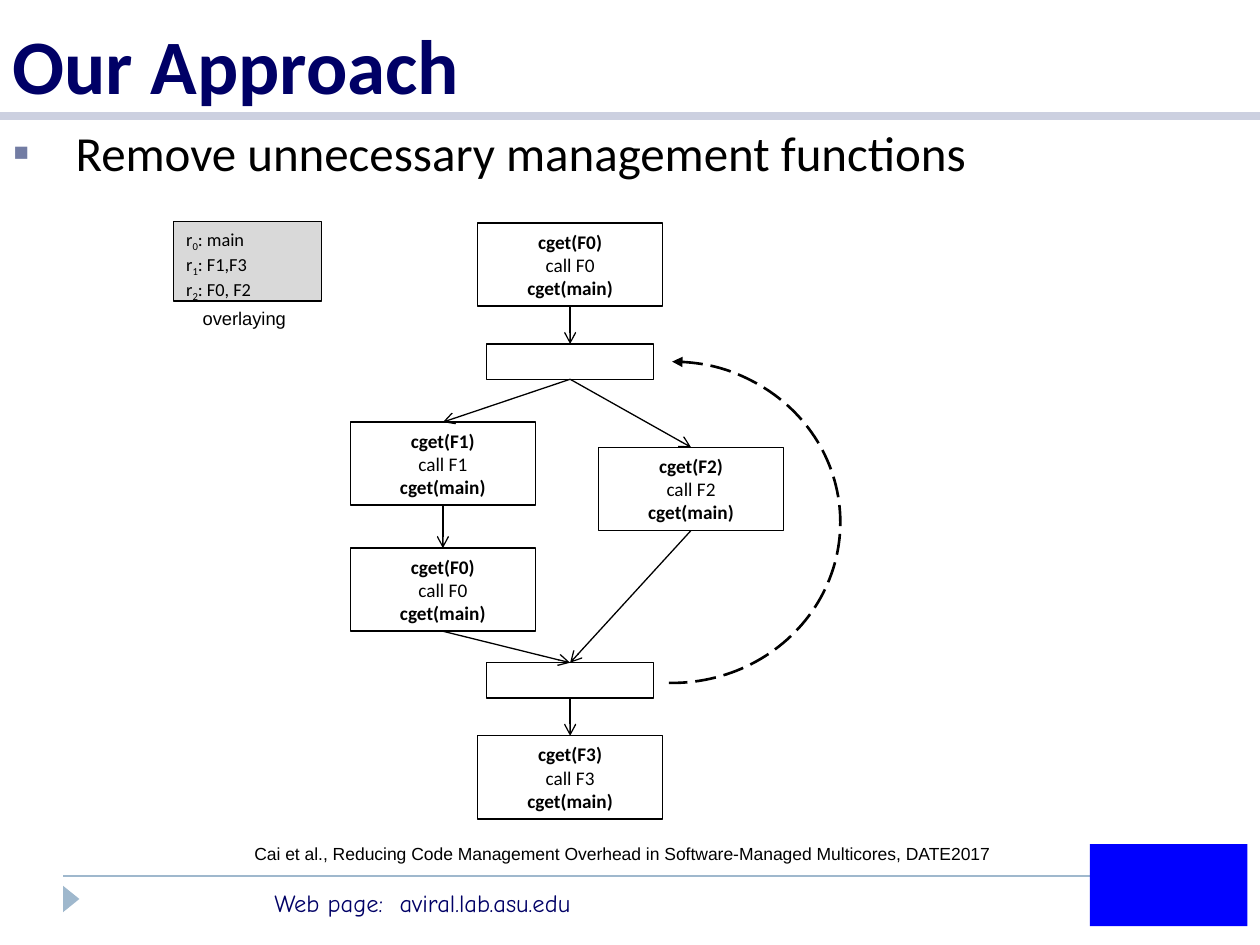
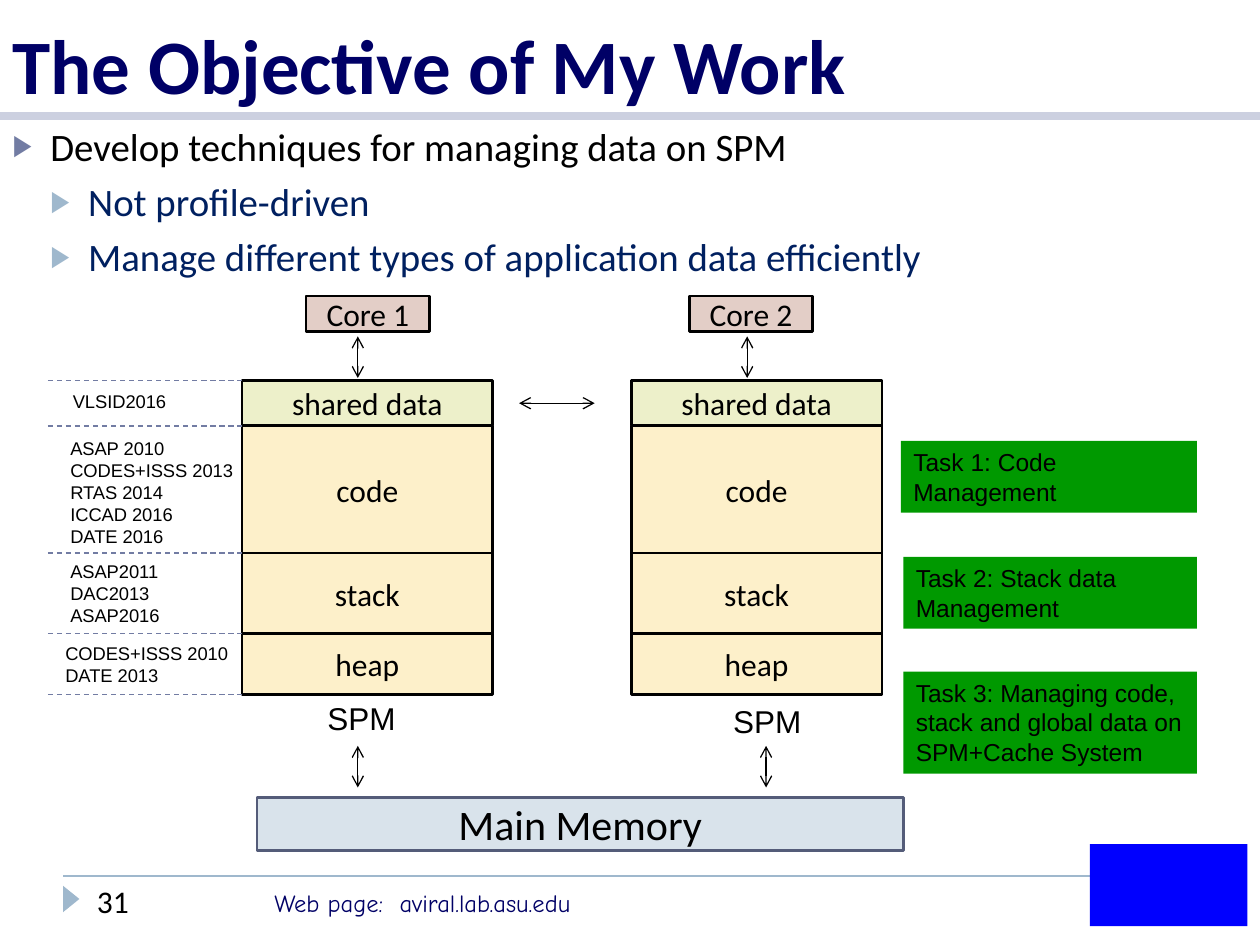
from itertools import accumulate

from lxml import etree
from pptx import Presentation
from pptx import util as u
from pptx.dml.color import RGBColor
from pptx.enum import dml, shapes, text
from pptx.oxml.ns import qn

# Shared style
COLS, ROWS = 100, 75
NAVY, BLACK, WHITE = "000066", "000000", "FFFFFF"
SLATE, SKY, BAND = "727CA3", "9FB8CD", "CCD0E0"
GREEN, CREAM, LIME, ROSE = "009900", "FDF0CA", "EDF0CA", "E3CEC7"
SANS, HEAD, WEB = "Arial", "Calibri", "Comic Neue"
LEFT, CENTER = text.PP_ALIGN.LEFT, text.PP_ALIGN.CENTER
TOP, MIDDLE, BOTTOM = (text.MSO_ANCHOR.TOP, text.MSO_ANCHOR.MIDDLE,
                       text.MSO_ANCHOR.BOTTOM)
SHAPE = shapes.MSO_SHAPE


def rgb(hex_color):
    return RGBColor.from_string(hex_color)


def child(parent, tag, **attrs):
    return etree.SubElement(parent, qn(tag), attrs)


def write(p, words, size=10.5, font=SANS, color=BLACK, bold=False, base=0):
    """Add one formatted run to a paragraph; base shifts the baseline in percent."""
    r = p.add_run()
    r.text = words
    r.font.size, r.font.name, r.font.bold = u.Pt(size), font, bold
    r.font.color.rgb = rgb(color)
    if base:
        r.font._element.set("baseline", str(base * 1000))


class Deck:
    """Holds the presentation, its grid and the current slide."""

    def __init__(self):
        self.prs = Presentation()
        self.prs.slide_width, self.prs.slide_height = u.Inches(10), u.Inches(7.5)
        self.s = None

    def x(self, cols):
        return u.Emu(round(self.prs.slide_width * cols / COLS))

    def y(self, rows):
        return u.Emu(round(self.prs.slide_height * rows / ROWS))

    def box(self, left, top, width, height):
        return self.x(left), self.y(top), self.x(width), self.y(height)

    def place(self, sp, *at):
        sp.left, sp.top, sp.width, sp.height = self.box(*at)

    def fill_text(self, sp, lines, align=LEFT, anchor=TOP, **fmt):
        """Each line is a string, or a list of (words, format) runs."""
        tf = sp.text_frame
        tf.word_wrap, tf.vertical_anchor = True, anchor
        for i, line in enumerate(lines):
            p = tf.paragraphs[0] if i == 0 else tf.add_paragraph()
            p.alignment = align
            runs = [(line, {})] if isinstance(line, str) else line
            for words, extra in runs:
                write(p, words, **{**fmt, **extra})

    def slide(self, title):
        self.s = self.prs.slides.add_slide(self.prs.slide_layouts[1])
        self.line(5, 69.5, 86.7, 69.5, color=SKY, width=1)
        self.line(0, 9.2, 100, 9.2, color=BAND, width=5)
        self.shape(4.6, 70.7, 2.1, 1.3, kind=SHAPE.ISOSCELES_TRIANGLE,
                   fill=SKY).rotation = 90
        self.label(20.8, 70, 37.5, 3.4, ["Web page:  aviral.lab.asu.edu"],
                   size=14, font=WEB, color=NAVY)
        # Plain stand-in for the logo
        self.shape(86.5, 67, 12.5, 6.5, fill="0000FF")
        sp = self.s.shapes.title
        self.place(sp, 0, 0, 100, 9.2)
        sp.text_frame.auto_size = text.MSO_AUTO_SIZE.NONE
        self.fill_text(sp, [title], anchor=BOTTOM, size=44, font=HEAD,
                       color=NAVY, bold=True)

    def bullets(self, items, height, mark, size, indent, bullet_size=100):
        """Items are (level, words); deeper levels take the second colours."""
        sp = self.s.placeholders[1]
        self.place(sp, 0, 9.2, 100, height)
        tf = sp.text_frame
        tf.auto_size = text.MSO_AUTO_SIZE.NONE
        for i, (level, words) in enumerate(items):
            p = tf.paragraphs[0] if i == 0 else tf.add_paragraph()
            p.level = level
            p.space_before = u.Pt(5 if i else 0)
            pPr = p._p.get_or_add_pPr()
            pPr.set("marL", str(self.x(indent * (level + 1))))
            pPr.set("indent", str(-self.x(indent)))
            child(child(pPr, "a:buClr"), "a:srgbClr", val=SKY if level else SLATE)
            child(pPr, "a:buSzPct", val=str(bullet_size * 1000))
            child(pPr, "a:buFont", typeface=SANS)
            child(pPr, "a:buChar", char=mark)
            write(p, words, size=size, font=HEAD,
                  color="002060" if level else BLACK)

    def shape(self, *at, kind=SHAPE.RECTANGLE, fill=None, line=None, width=0.75,
              lines=(), **fmt):
        sp = self.s.shapes.add_shape(kind, *self.box(*at))
        sp.shadow.inherit = False
        if fill:
            sp.fill.solid()
            sp.fill.fore_color.rgb = rgb(fill)
        else:
            sp.fill.background()
        if line:
            sp.line.color.rgb, sp.line.width = rgb(line), u.Pt(width)
        else:
            sp.line.fill.background()
        self.fill_text(sp, lines, **fmt)
        return sp

    def label(self, left, top, width, height, lines, **fmt):
        sp = self.s.shapes.add_textbox(*self.box(left, top, width, height))
        self.fill_text(sp, lines, **fmt)

    def line(self, x1, y1, x2, y2, color=BLACK, width=0.75, dash=None,
             head=None, tail=None):
        c = self.s.shapes.add_connector(shapes.MSO_CONNECTOR.STRAIGHT, self.x(x1),
                                        self.y(y1), self.x(x2), self.y(y2))
        c.line.color.rgb, c.line.width = rgb(color), u.Pt(width)
        if dash:
            c.line.dash_style = dash
        self.ends(c, head, tail)
        child(c._element.spPr, "a:effectLst")
        return c

    def ends(self, sp, head=None, tail=None):
        ln = sp.line._get_or_add_ln()
        for tag, kind in (("a:headEnd", head), ("a:tailEnd", tail)):
            if kind:
                child(ln, tag, type=kind)

    def link(self, upper, lower):
        """Arrow from the bottom of one box to the top of another."""
        c = self.line(0, 0, 1, 1, tail="arrow")
        c.begin_connect(upper, 2)
        c.end_connect(lower, 0)

    def double_arrow(self, x1, y1, x2, y2):
        self.line(x1, y1, x2, y2, head="arrow", tail="arrow")


def approach(d):
    d.slide("Our Approach")
    d.bullets([(0, "Remove unnecessary management functions")], height=6,
              mark="▪", size=28, indent=5)

    # Mapping of functions to regions
    regions = ["main", "F1,F3", "F0, F2"]
    d.shape(13.8, 17.6, 11.7, 6.3, fill="D9D9D9", line=BLACK, font=HEAD,
            lines=[[("r", {}), (str(i), {"base": -25}), (f": {names}", {})]
                   for i, names in enumerate(regions)])
    d.label(15.1, 23.9, 14.1, 2.9, ["overlaying"])

    # Control-flow graph
    def call(left, top, name):
        return d.shape(left, top, 14.7, 6.6, fill=WHITE, line=BLACK,
                       lines=[[(f"cget({name})", {"bold": True})], f"call {name}",
                              [("cget(main)", {"bold": True})]],
                       align=CENTER, anchor=MIDDLE, size=11, font=HEAD)

    def junction(top):
        return d.shape(38.6, top, 13.3, 2.8, fill=WHITE, line=BLACK)

    first, last = call(37.9, 17.7, "F0"), call(37.9, 58.4, "F3")
    fork, join = junction(27.3), junction(52.6)
    f1, f0, f2 = (call(27.8, 33.5, "F1"), call(27.8, 43.5, "F0"),
                  call(47.5, 35.5, "F2"))
    for upper, lower in ((first, fork), (fork, f1), (fork, f2), (f1, f0),
                         (f0, join), (f2, join), (join, last)):
        d.link(upper, lower)

    # Loop back to the fork
    loop = d.shape(40, 28.7, 26.7, 25.5, kind=SHAPE.ARC, line=BLACK, width=1.5)
    loop.adjustments[0], loop.adjustments[1] = 162, 54.69
    loop.line.dash_style = dml.MSO_LINE.LONG_DASH
    d.ends(loop, head="triangle")

    d.label(19.2, 66.4, 60.6, 2.8,
            ["Cai et al., Reducing Code Management Overhead in "
             "Software-Managed Multicores, DATE2017"], size=10)


def objective(d):
    d.slide("The Objective of My Work")
    d.label(6.7, 69.5, 14.1, 4, ["31"], size=18, font=HEAD)
    d.bullets([(0, "Develop techniques for managing data on SPM"),
               (1, "Not profile-driven"),
               (1, "Manage different types of application data efficiently")],
              height=13.5, mark="▶", size=22.2, indent=3, bullet_size=76)

    # Two cores, each with its scratchpad
    block = dict(align=CENTER, anchor=MIDDLE, size=18, font=HEAD)
    parts = [("shared data", 3.6, LIME), ("code", 10.1, CREAM),
             ("stack", 6.4, CREAM), ("heap", 4.8, CREAM)]
    edges = list(accumulate((h for _, h, _ in parts), initial=30.2))
    for core, left, core_left, spm_left, spm_top, bus in (
            ("Core 1", 19.2, 24.3, 25, 55, 28.4),
            ("Core 2", 50.1, 54.7, 57.2, 55.2, 60.8)):
        d.shape(core_left, 23.5, 9.8, 2.8, fill=ROSE, line=BLACK, width=1.5,
                lines=[core], **block)
        d.double_arrow(left + 9.2, 26.7, left + 9.2, 30)
        for (name, height, fill), top in zip(parts, edges):
            d.shape(left, top, 19.9, height, fill=fill, line=BLACK, width=1.5,
                    lines=[name], **block)
        d.label(spm_left, spm_top, 8.9, 4, ["SPM"], size=18)
        d.double_arrow(bus, 59.2, bus, 62.5)
    d.double_arrow(41.2, 32, 47.2, 32)
    d.shape(20.4, 63.3, 51.3, 4.2, fill="D9E3EB", line="545C79", width=1.5,
            lines=["Main Memory"], **{**block, "size": 24})

    # Publications beside each part
    for edge in edges:
        d.line(3.8, edge, 19.2, edge, color=SLATE, dash=dml.MSO_LINE.DASH)
    for left, top, height, papers in (
            (4.8, 30.5, 2.8, ["VLSID2016"]),
            (4.6, 34.2, 9.8, ["ASAP 2010", "CODES+ISSS 2013", "RTAS 2014",
                              "ICCAD 2016", "DATE 2016"]),
            (4.6, 44, 6.3, ["ASAP2011", "DAC2013", "ASAP2016"]),
            (4.2, 50.5, 4.5, ["CODES+ISSS 2010", "DATE 2013"])):
        d.label(left, top, 16.3, height, papers)

    # Tasks
    for left, top, height, task in (
            (71.5, 35, 5.7, "Task 1: Code Management"),
            (71.7, 44.2, 5.7, "Task 2: Stack data Management"),
            (71.7, 53.3, 8.1, "Task 3: Managing code, stack and global data "
                              "on SPM+Cache System")):
        d.shape(left, top, 95 - left, height, fill=GREEN, lines=[task], size=14)


def main():
    d = Deck()
    approach(d)
    objective(d)
    d.prs.save("out.pptx")


if __name__ == "__main__":
    main()
